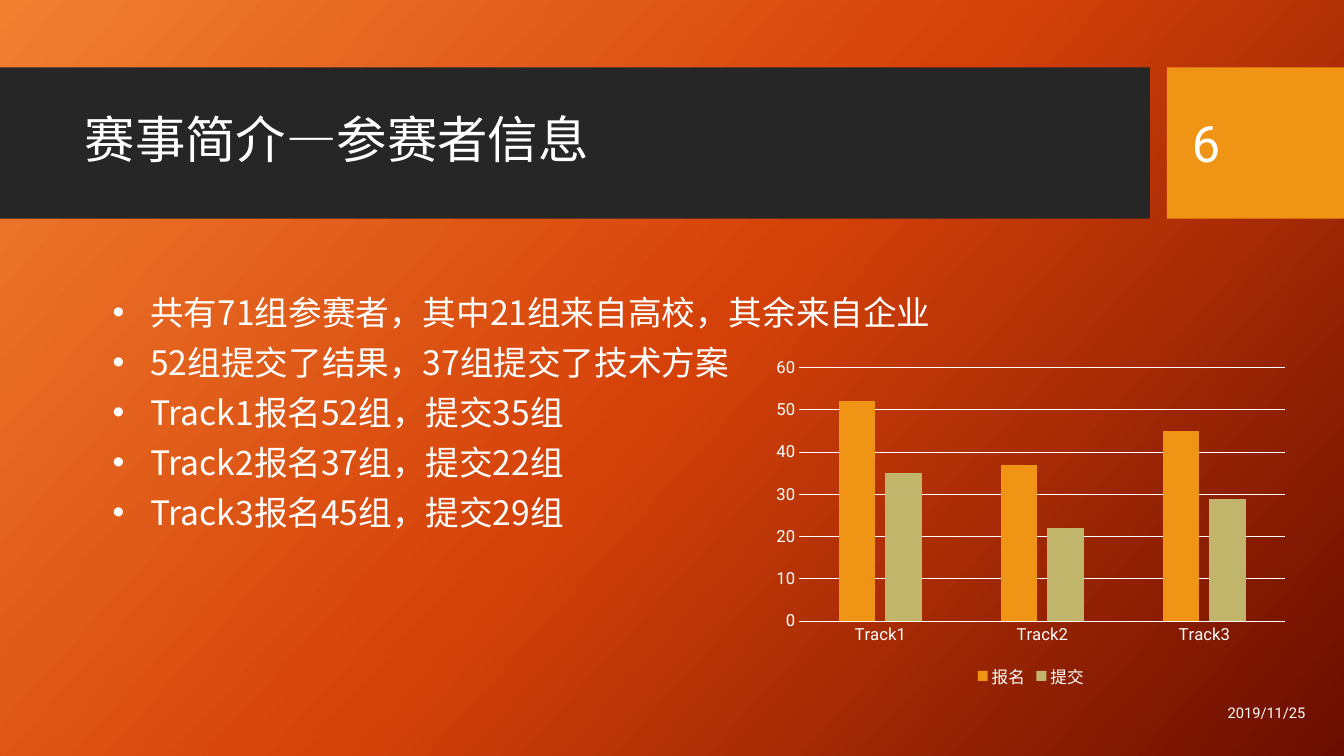
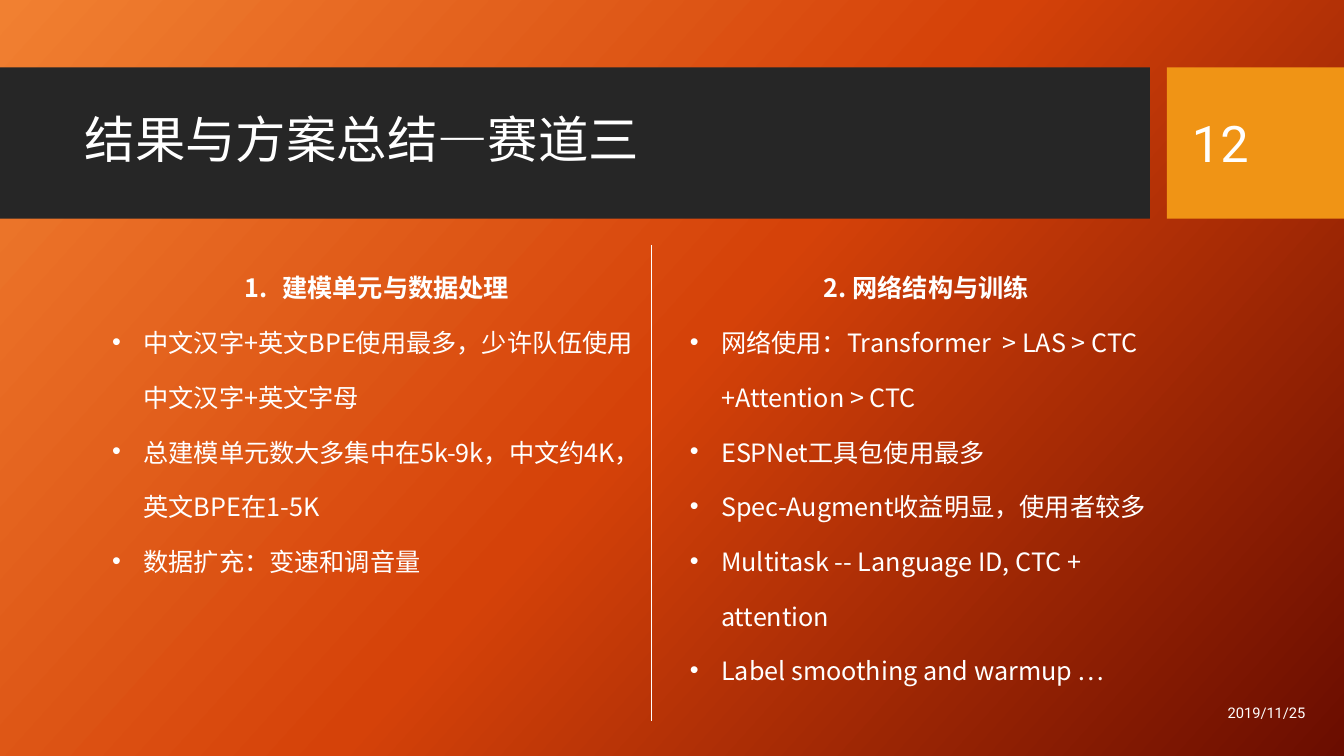
from copy import deepcopy

from lxml.etree import SubElement
from pptx import Presentation
from pptx.chart.data import CategoryChartData
from pptx.dml.color import RGBColor
from pptx.enum.chart import XL_CHART_TYPE, XL_LEGEND_POSITION, XL_TICK_MARK
from pptx.enum.shapes import MSO_SHAPE
from pptx.enum.text import MSO_ANCHOR, MSO_AUTO_SIZE, PP_ALIGN
from pptx.oxml import parse_xml
from pptx.oxml.ns import nsdecls, qn
from pptx.util import Cm, Pt

WHITE, DARK, ORANGE, KHAKI = "FFFFFF", "262626", "F09415", "C1B56B"
BACKDROP = [(0, "F18031"), (0.5, "D54209"), (1, "6A0D00")]
CJK, LATIN = "Noto Sans CJK SC", "Roboto"
NO_STYLE = "{2D5ABB26-0587-4C30-8999-92F81FD0307C}"
DATE = "2019/11/25"


def rgb(value):
    """Return the colour for a hex string."""
    return RGBColor.from_string(value)


def place(box):
    """Turn left, top, width and height in centimetres into lengths."""
    return [Cm(v) for v in box]


def write(tf, text, size=18, font=CJK, color=WHITE, bold=False,
          align=PP_ALIGN.LEFT, spacing=None, bullet=None, left=0, hang=0):
    """Fill a text frame with one formatted paragraph per line of text."""
    tf.word_wrap = True
    for i, line in enumerate(text.split("\n")):
        p = tf.add_paragraph() if i else tf.paragraphs[0]
        p.alignment = align
        if spacing:
            p.line_spacing = spacing
        if bullet:
            pPr = p._p.get_or_add_pPr()
            pPr.set("marL", str(Cm(left)))
            pPr.set("indent", str(-Cm(hang)))
            if bullet == "1.":
                SubElement(pPr, qn("a:buFont"), typeface="+mj-lt")
                SubElement(pPr, qn("a:buAutoNum"), type="arabicPeriod")
            else:
                SubElement(pPr, qn("a:buFont"), typeface="Arial")
                SubElement(pPr, qn("a:buChar"), char=bullet)
        r = p.add_run()
        r.text = line
        f = r.font
        f.size, f.bold, f.name = Pt(size), bold, font
        f.color.rgb = rgb(color)
        SubElement(r._r.get_or_add_rPr(), qn("a:ea"), typeface=font)


def add_text(s, box, text, anchor=MSO_ANCHOR.TOP, **fmt):
    """Add a text box with formatted text."""
    tf = s.shapes.add_textbox(*place(box)).text_frame
    tf.vertical_anchor = anchor
    write(tf, text, **fmt)


def set_backdrop(master):
    """Give the master its diagonal three-stop gradient."""
    fill = master.background.fill
    fill.gradient()
    fill.gradient_angle = 318
    stops = fill.gradient_stops
    last = stops[1]._gs
    last.addnext(deepcopy(last))
    for stop, (position, color) in zip(fill.gradient_stops, BACKDROP):
        stop.position = position
        stop.color.rgb = rgb(color)


def add_band(s, box, color):
    """Add a plain rectangle behind the title."""
    sp = s.shapes.add_shape(MSO_SHAPE.RECTANGLE, *place(box))
    sp.shadow.inherit = False
    sp.fill.solid()
    sp.fill.fore_color.rgb = rgb(color)
    sp.line.fill.background()
    s.shapes.title._element.addprevious(sp._element)


def add_frame(prs, title, number):
    """Add a slide with its bands, title, number and date."""
    s = prs.slides.add_slide(prs.slide_layouts[5])
    add_band(s, (0, 1.7, 28.98, 3.81), DARK)
    add_band(s, (29.41, 1.7, 4.46, 3.81), ORANGE)
    sp = s.shapes.title
    sp.left, sp.top, sp.width, sp.height = place((1.88, 2.08, 26.7, 3))
    tf = sp.text_frame
    tf.auto_size = MSO_AUTO_SIZE.NONE
    tf.vertical_anchor = MSO_ANCHOR.MIDDLE
    write(tf, title, size=36, spacing=0.9)
    add_text(s, (29.79, 2.08, 3.2, 3.02), number, MSO_ANCHOR.MIDDLE,
             size=36, font=LATIN)
    add_text(s, (25.53, 17.46, 7.62, 1.02), DATE, MSO_ANCHOR.MIDDLE,
             size=10.5, font=LATIN, align=PP_ALIGN.RIGHT)
    return s


def add_columns(s, box, cats, series):
    """Add the clustered column chart."""
    data = CategoryChartData()
    data.categories = cats
    for name, values, _ in series:
        data.add_series(name, values)
    chart = s.shapes.add_chart(XL_CHART_TYPE.COLUMN_CLUSTERED,
                               *place(box), data).chart
    chart.has_title = False
    chart.font.size, chart.font.name = Pt(11.9), LATIN
    chart.font.color.rgb = rgb(WHITE)
    chart.has_legend = True
    chart.legend.position = XL_LEGEND_POSITION.BOTTOM
    chart.legend.include_in_layout = False
    plot = chart.plots[0]
    plot.gap_width, plot.overlap, plot.vary_by_categories = 219, -27, False
    for ser, (_, _, color) in zip(plot.series, series):
        ser.format.fill.solid()
        ser.format.fill.fore_color.rgb = rgb(color)
    cat, val = chart.category_axis, chart.value_axis
    val.minimum_scale, val.maximum_scale, val.major_unit = 0, 60, 10
    for axis in (cat, val):
        axis.major_tick_mark = axis.minor_tick_mark = XL_TICK_MARK.NONE
    for line in (cat.format.line, val.major_gridlines.format.line):
        line.color.rgb = rgb(WHITE)
        line.width = Pt(0.75)
    val.format.line.fill.background()


def add_divider(cell, side):
    """Draw a thin white border on one side of a cell."""
    cell._tc.get_or_add_tcPr().insert(0, parse_xml(
        f'<a:{side} {nsdecls("a")} w="12700"><a:solidFill>'
        f'<a:srgbClr val="{WHITE}"/></a:solidFill></a:{side}>'))


def add_summary(s, box, columns):
    """Add a table with one heading and one bullet list per column."""
    heights = (1.22, box[3] - 1.22)
    table = s.shapes.add_table(2, len(columns), *place(box)).table
    table.first_row = table.horz_banding = False
    table._tbl.tblPr.find(qn("a:tableStyleId")).text = NO_STYLE
    for row, height in zip(table.rows, heights):
        row.height = Cm(height)
    for i, (heading, heading_fmt, items, left) in enumerate(columns):
        table.columns[i].width = Cm(box[2] / len(columns))
        head, body = table.cell(0, i), table.cell(1, i)
        for cell in (head, body):
            cell.fill.background()
            add_divider(cell, "lnL" if i else "lnR")
        head.vertical_anchor = MSO_ANCHOR.MIDDLE
        write(head.text_frame, heading, bold=True, align=PP_ALIGN.CENTER,
              spacing=1.5, **heading_fmt)
        write(body.text_frame, items, spacing=1.5, bullet="•",
              left=left, hang=0.79)


def add_entrants(prs):
    """Build the slide on the entrants."""
    s = add_frame(prs, "赛事简介—参赛者信息", "6")
    tracks = ("Track1", "Track2", "Track3")
    entered, handed_in = (52, 37, 45), (35, 22, 29)
    lines = ["共有71组参赛者，其中21组来自高校，其余来自企业",
             "52组提交了结果，37组提交了技术方案"]
    lines += [f"{t}报名{a}组，提交{b}组"
              for t, a, b in zip(tracks, entered, handed_in)]
    add_text(s, (1.32, 6.98, 31.72, 7.75), "\n".join(lines), size=24,
             spacing=1.24, bullet="•", left=2.22, hang=0.95)
    add_columns(s, (19.3, 8.84, 13.36, 8.61), tracks,
                [("报名", entered, ORANGE), ("提交", handed_in, KHAKI)])


def add_results(prs):
    """Build the slide on the results of the third track."""
    s = add_frame(prs, "结果与方案总结—赛道三", "12")
    units = ("中文汉字+英文BPE使用最多，少许队伍使用中文汉字+英文字母\n"
             "总建模单元数大多集中在5k-9k，中文约4K，英文BPE在1-5K\n"
             "数据扩充：变速和调音量")
    networks = ("网络使用：Transformer  > LAS > CTC +Attention > CTC\n"
                "ESPNet工具包使用最多\n"
                "Spec-Augment收益明显，使用者较多\n"
                "Multitask -- Language ID, CTC + attention\n"
                "Label smoothing and warmup …")
    numbered = {"bullet": "1.", "left": 0.95, "hang": 0.95}
    add_summary(s, (2.57, 6.17, 27.7, 11.81),
                [("建模单元与数据处理", numbered, units, 0.79),
                 ("2. 网络结构与训练", {}, networks, 1.5)])


def main():
    """Build and save the presentation."""
    prs = Presentation()
    prs.slide_width, prs.slide_height = Cm(33.87), Cm(19.05)
    set_backdrop(prs.slide_master)
    add_entrants(prs)
    add_results(prs)
    prs.save("out.pptx")


if __name__ == "__main__":
    main()
